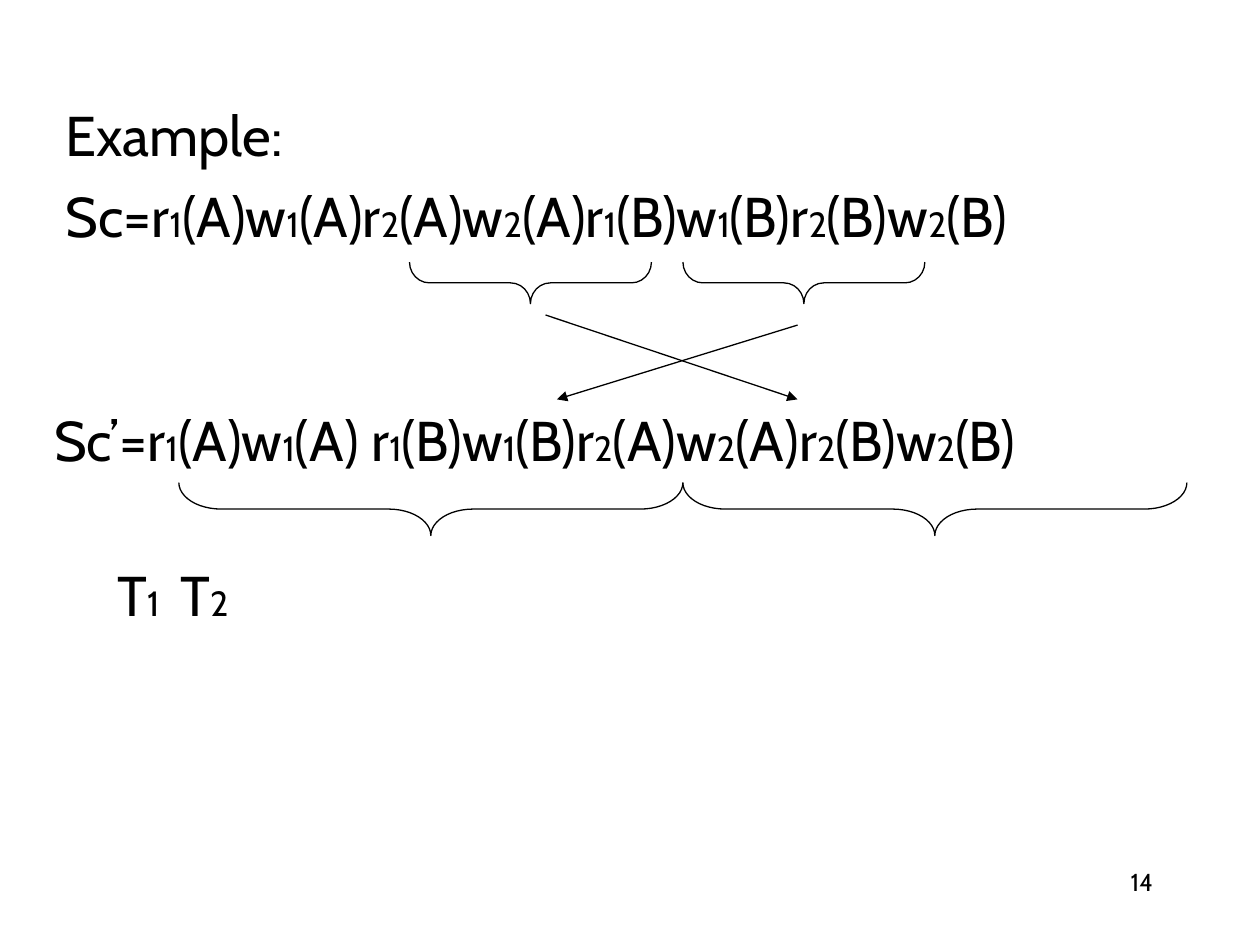
import itertools
import pptx
import pptx.dml.color
import pptx.enum.shapes
import pptx.enum.text
import pptx.oxml
import pptx.oxml.ns
import pptx.util
from pptx.util import Inches

HUES = {"ink": "000000", "page": "FFFFFF"}
FONT = "Cabin"
BIG, SMALL = 32, 20
SHAPE = pptx.enum.shapes.MSO_SHAPE
ALIGN = pptx.enum.text.PP_ALIGN


def hue(name):
    return pptx.dml.color.RGBColor.from_string(HUES[name])


def node(owner, tag, **attrs):
    item = pptx.oxml.parse_xml(f"<a:{tag} {pptx.oxml.ns.nsdecls('a')}/>")
    for key, value in attrs.items():
        item.set(key, str(value))
    owner.append(item)
    return item


def set_frame(shape):
    frame = shape.text_frame
    frame.word_wrap = True
    frame.auto_size = pptx.enum.text.MSO_AUTO_SIZE.NONE
    frame.vertical_anchor = pptx.enum.text.MSO_ANCHOR.TOP
    return frame


def style(run, size):
    run.font.name = FONT
    run.font.size = pptx.util.Pt(size)
    run.font.color.rgb = hue("ink")


def write_line(para, text, before=0, tabs=()):
    """Write one line of notation, with every digit as a small index."""
    para.alignment = ALIGN.LEFT
    para.space_before = pptx.util.Pt(before)
    props = para._p.get_or_add_pPr()
    props.set("marL", "0")
    props.set("indent", "0")
    node(props, "buNone")
    if tabs:
        stops = node(props, "tabLst")
        for stop in tabs:
            node(stops, "tab", pos=Inches(stop), algn="l")
    for digit, chars in itertools.groupby(text, str.isdigit):
        run = para.add_run()
        run.text = "".join(chars)
        style(run, SMALL if digit else BIG)


def add_first(slide, left, top, width, height):
    box = slide.shapes.add_textbox(
        Inches(left), Inches(top), Inches(width), Inches(height))
    frame = set_frame(box)
    write_line(frame.paragraphs[0], "Example:")
    write_line(frame.add_paragraph(),
               "Sc=r1(A)w1(A)r2(A)w2(A)r1(B)w1(B)r2(B)w2(B)", 8)


def add_second(slide, left, top, width, height):
    body = slide.placeholders[1]
    body.left, body.top = Inches(left), Inches(top)
    body.width, body.height = Inches(width), Inches(height)
    frame = set_frame(body)
    write_line(frame.paragraphs[0],
               "Sc’=r1(A)w1(A) r1(B)w1(B)r2(A)w2(A)r2(B)w2(B)")
    # Transaction names sit on two tab stops below the line
    write_line(frame.add_paragraph(), "\tT1\tT2", 50, (2.87, 5.87))


def add_brace(slide, left, top, width, height, curve):
    """Draw a brace that opens upwards and fills the given box."""
    brace = slide.shapes.add_shape(
        SHAPE.LEFT_BRACE,
        Inches(left + (width - height) / 2),
        Inches(top - (width - height) / 2),
        Inches(height), Inches(width))
    brace.rotation = 270
    brace.adjustments[0] = curve
    brace.shadow.inherit = False
    brace.fill.background()
    brace.line.color.rgb = hue("ink")
    brace.line.width = pptx.util.Pt(0.75)


def add_arrow(slide, left, top, right, bottom):
    arrow = slide.shapes.add_connector(
        pptx.enum.shapes.MSO_CONNECTOR.STRAIGHT,
        Inches(left), Inches(top), Inches(right), Inches(bottom))
    arrow.line.color.rgb = hue("ink")
    arrow.line.width = pptx.util.Pt(0.75)
    node(arrow.line._get_or_add_ln(), "tailEnd", type="triangle")
    node(arrow._element.spPr, "effectLst")


def add_number(slide, left, top, width, height):
    box = slide.shapes.add_textbox(
        Inches(left), Inches(top), Inches(width), Inches(height))
    para = set_frame(box).paragraphs[0]
    para.text = "14"
    para.alignment = ALIGN.RIGHT
    style(para.runs[0], 14)


def main():
    deck = pptx.Presentation()
    deck.slide_width, deck.slide_height = Inches(10), Inches(7.5)
    slide = deck.slides.add_slide(deck.slide_layouts[1])
    slide.background.fill.solid()
    slide.background.fill.fore_color.rgb = hue("page")
    title = slide.shapes.title._element
    title.getparent().remove(title)

    add_number(slide, 7.17, 6.83, 2.08, 0.5)
    # Reordered schedule, one brace for each transaction
    add_second(slide, 0.33, 3.17, 9.25, 2.17)
    for left in (1.42, 5.42):
        add_brace(slide, left, 3.83, 4, 0.42, 0.8)
    # Arrows that swap the two groups
    add_arrow(slide, 6.33, 2.58, 4.42, 3.17)
    add_arrow(slide, 4.33, 2.5, 6.33, 3.17)
    # First schedule, one brace for each group
    add_first(slide, 0.42, 0.75, 9.25, 1.42)
    for left in (3.25, 5.42):
        add_brace(slide, left, 2.08, 1.92, 0.33, 0.48)

    deck.save("out.pptx")


if __name__ == "__main__":
    main()
